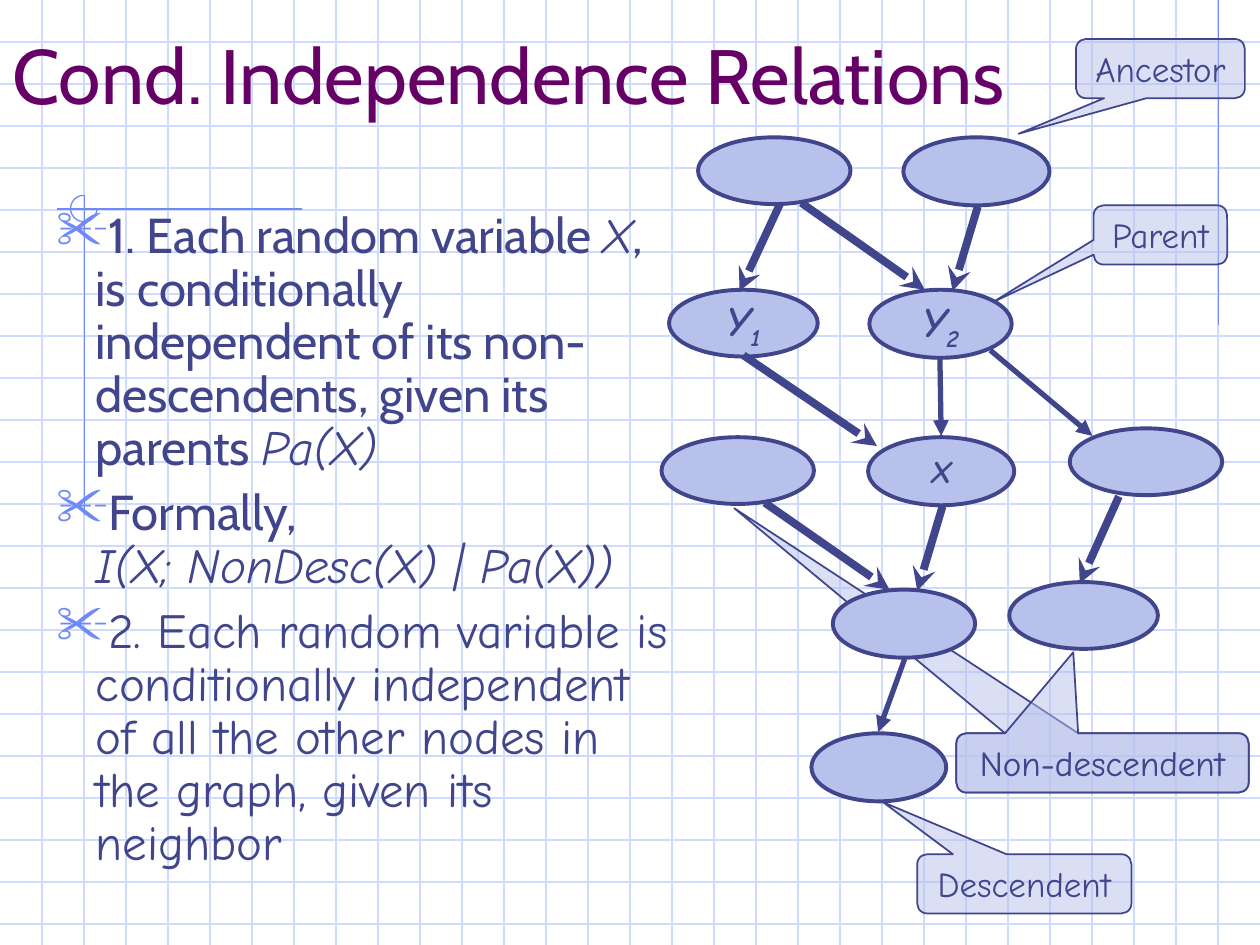
from dataclasses import dataclass

from lxml import etree
from pptx import Presentation
from pptx import util as u
from pptx.dml.color import RGBColor
from pptx.enum import shapes, text
from pptx.oxml.ns import qn


@dataclass(frozen=True)
class Theme:
    ink: str = "40458C"
    node: str = "B7C1EB"
    heading: str = "660066"
    accent: str = "6F89F7"
    grid: str = "CFDBFD"
    sans: str = "Cabin"
    hand: str = "Comic Neue"
    title: int = 44
    body: int = 28
    variable: int = 24
    callout: int = 20
    target: int = 18


theme = Theme()
presentation = Presentation()
presentation.slide_width, presentation.slide_height = u.Inches(10), u.Inches(7.5)
unit = presentation.slide_width / 10  # layout grid of 10 columns by 7.5 rows
slide = presentation.slides.add_slide(presentation.slide_layouts[5])


def write(paragraph, wording, font=theme.hand, size=theme.body, color=theme.ink,
          bold=False, italic=False, baseline=None):
    run = paragraph.add_run()
    run.text = wording
    run.font.name, run.font.size = font, u.Pt(size)
    run.font.bold, run.font.italic = bold, italic
    run.font.color.rgb = RGBColor.from_string(color)
    if baseline:
        run.font.element.set("baseline", str(baseline)) if hasattr(run.font, "element") \
            else run._r.get_or_add_rPr().set("baseline", str(baseline))


def draw_line(*ends, color=theme.ink, width=0.75, head=None):
    """Draw a line between grid points x1, y1, x2, y2, with an optional arrowhead."""
    connector = slide.shapes.add_connector(
        shapes.MSO_CONNECTOR.STRAIGHT, *[round(end * unit) for end in ends])
    connector.line.color.rgb = RGBColor.from_string(color)
    connector.line.width = u.Pt(width)
    properties = connector.element.spPr
    if head:
        etree.SubElement(properties.find(qn("a:ln")), qn("a:tailEnd"), type=head)
    etree.SubElement(properties, qn("a:effectLst"))


# Squared paper with its margin rules
for row in range(1, 23):
    draw_line(0, row / 3, 10, row / 3, color=theme.grid)
for column in range(1, 30):
    draw_line(column / 3, 0, column / 3, 7.5, color=theme.grid)
for rule in [(9.67, 0, 9.67, 2.58), (2.4, 1.66, 0.45, 1.66), (0.67, 1.55, 0.67, 4.09)]:
    draw_line(*rule, color=theme.accent)

arc = slide.shapes.add_shape(
    shapes.MSO_SHAPE.ARC, *[round(n * unit) for n in (0.56, 1.55, 0.21, 0.21)])
arc.adjustments[0], arc.adjustments[1] = 0, 162  # clockwise from 0 to 270 degrees
arc.fill.background()
arc.line.color.rgb = RGBColor.from_string(theme.accent)
arc.line.width = u.Pt(0.75)
arc.shadow.inherit = False

# Title, brought in front of the paper
title = slide.shapes.title
slide.shapes.element.append(title.element)
title.left, title.top, title.width, title.height = [
    round(n * unit) for n in (0, -0.25, 9.08, 1.25)]
title.text_frame.vertical_anchor = text.MSO_ANCHOR.BOTTOM
title.text_frame.auto_size = text.MSO_AUTO_SIZE.NONE
heading = title.text_frame.paragraphs[0]
heading.alignment = text.PP_ALIGN.LEFT
write(heading, "Cond. Independence Relations", font=theme.sans, size=theme.title,
      color=theme.heading)

# Statements: each run is its wording, font and italic
statements = [
    [("1. Each random variable ", theme.sans, False),
     ("X", theme.hand, True),
     (", is conditionally independent of its non-descendents, given its parents ",
      theme.sans, False),
     ("Pa(X)", theme.hand, True)],
    [("Formally,", theme.sans, False),
     None,
     ("I(X; NonDesc(X) | Pa(X))", theme.hand, True)],
    [("2. Each random variable is conditionally independent of all the other nodes "
      "in the graph, given its neighbor", theme.hand, False)],
]
body = slide.shapes.add_textbox(*[round(n * unit) for n in (0.35, 1.63, 5.06, 5.49)])
body.text_frame.word_wrap = True
for index, statement in enumerate(statements):
    paragraph = body.text_frame.add_paragraph() if index else body.text_frame.paragraphs[0]
    properties = paragraph._p.get_or_add_pPr()
    properties.set("marL", str(u.Inches(0.31)))
    properties.set("indent", str(-u.Inches(0.31)))
    bullet_color = etree.SubElement(properties, qn("a:buClr"))
    etree.SubElement(bullet_color, qn("a:srgbClr"), val=theme.accent)
    etree.SubElement(properties, qn("a:buSzPct"), val="110000")
    etree.SubElement(properties, qn("a:buChar"), char="✂")
    paragraph.line_spacing = 0.9
    if index:
        paragraph.space_before = u.Pt(7)
    for part in statement:
        if part is None:
            paragraph.add_line_break()
        else:
            wording, font, italic = part
            write(paragraph, wording, font=font, italic=italic)

# Graph: box, label, subscript, label size
nodes = [
    ((5.25, 3.47, 1.21, 0.53), "", "", 0),
    ((8.01, 4.62, 1.18, 0.53), "", "", 0),
    ((6.89, 3.47, 1.16, 0.54), "X", "", theme.target),
    ((6.61, 4.68, 1.13, 0.54), "", "", 0),
    ((6.44, 5.82, 1.07, 0.54), "", "", 0),
    ((5.54, 1.09, 1.21, 0.53), "", "", 0),
    ((5.31, 2.3, 1.18, 0.53), "Y", "1", theme.variable),
    ((7.17, 1.09, 1.16, 0.54), "", "", 0),
    ((6.9, 2.3, 1.13, 0.54), "Y", "2", theme.variable),
    ((8.49, 3.4, 1.21, 0.53), "", "", 0),
]
# Callouts: box, label, pointer offset as shares of the box
callouts = [
    ((7.28, 6.78, 1.7, 0.47), "Descendent", (-0.66, -1.38)),
    ((8.54, 0.31, 1.34, 0.47), "Ancestor", (-0.84, 1.1)),
    ((8.68, 1.63, 1.06, 0.47), "Parent", (-1.25, 1.13)),
    ((7.59, 5.82, 2.32, 0.47), "Non-descendent", (-1.26, -4.3)),
    ((7.59, 5.82, 2.32, 0.47), "Non-descendent", (-0.1, -1.87)),
]
figures = [(box, label, "", theme.callout, pointer) for box, label, pointer in callouts]
figures[4:4] = [(*node, None) for node in nodes]  # the last callout lies over the nodes

for box, label, subscript, size, pointer in figures:
    kind = (shapes.MSO_SHAPE.ROUNDED_RECTANGULAR_CALLOUT if pointer
            else shapes.MSO_SHAPE.OVAL)
    shape = slide.shapes.add_shape(kind, *[round(n * unit) for n in box])
    shape.shadow.inherit = False
    shape.fill.solid()
    shape.fill.fore_color.rgb = RGBColor.from_string(theme.node)
    shape.line.color.rgb = RGBColor.from_string(theme.ink)
    shape.line.width = u.Pt(1 if pointer else 2.25)
    if pointer:
        shape.adjustments[0], shape.adjustments[1] = pointer
        fill_color = shape.element.spPr.find(qn("a:solidFill"))[0]
        etree.SubElement(fill_color, qn("a:alpha"), val="50000")
    if label:
        shape.text_frame.word_wrap = False
        shape.text_frame.vertical_anchor = text.MSO_ANCHOR.MIDDLE
        paragraph = shape.text_frame.paragraphs[0]
        paragraph.alignment = text.PP_ALIGN.CENTER
        emphasis = pointer is None
        write(paragraph, label, size=size, bold=emphasis, italic=emphasis)
        if subscript:
            write(paragraph, subscript, size=size, bold=True, italic=True, baseline=-25000)

thick_arrows = [
    (8.88, 3.94, 8.57, 4.63), (6.07, 3.99, 7.06, 4.68), (7.48, 4.02, 7.28, 4.69),
    (6.19, 1.62, 5.87, 2.31), (6.36, 1.61, 7.34, 2.3), (7.76, 1.64, 7.56, 2.31),
    (5.9, 2.82, 6.96, 3.54),
]
thin_arrows = [
    (7.18, 5.23, 6.97, 5.81), (7.46, 2.85, 7.47, 3.46), (7.86, 2.78, 8.67, 3.46),
]
for arrow in thick_arrows:
    draw_line(*arrow, width=4.5, head="stealth")
for arrow in thin_arrows:
    draw_line(*arrow, width=3, head="triangle")

presentation.save("out.pptx")
